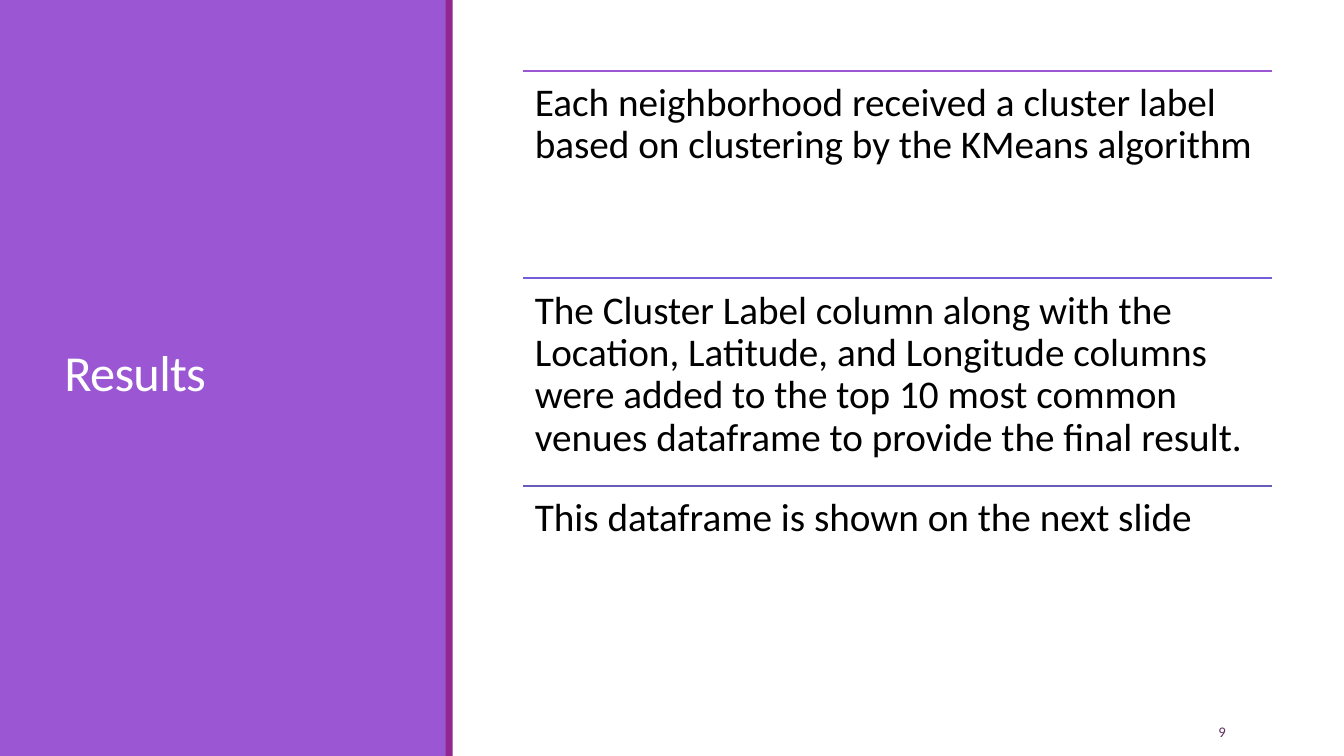
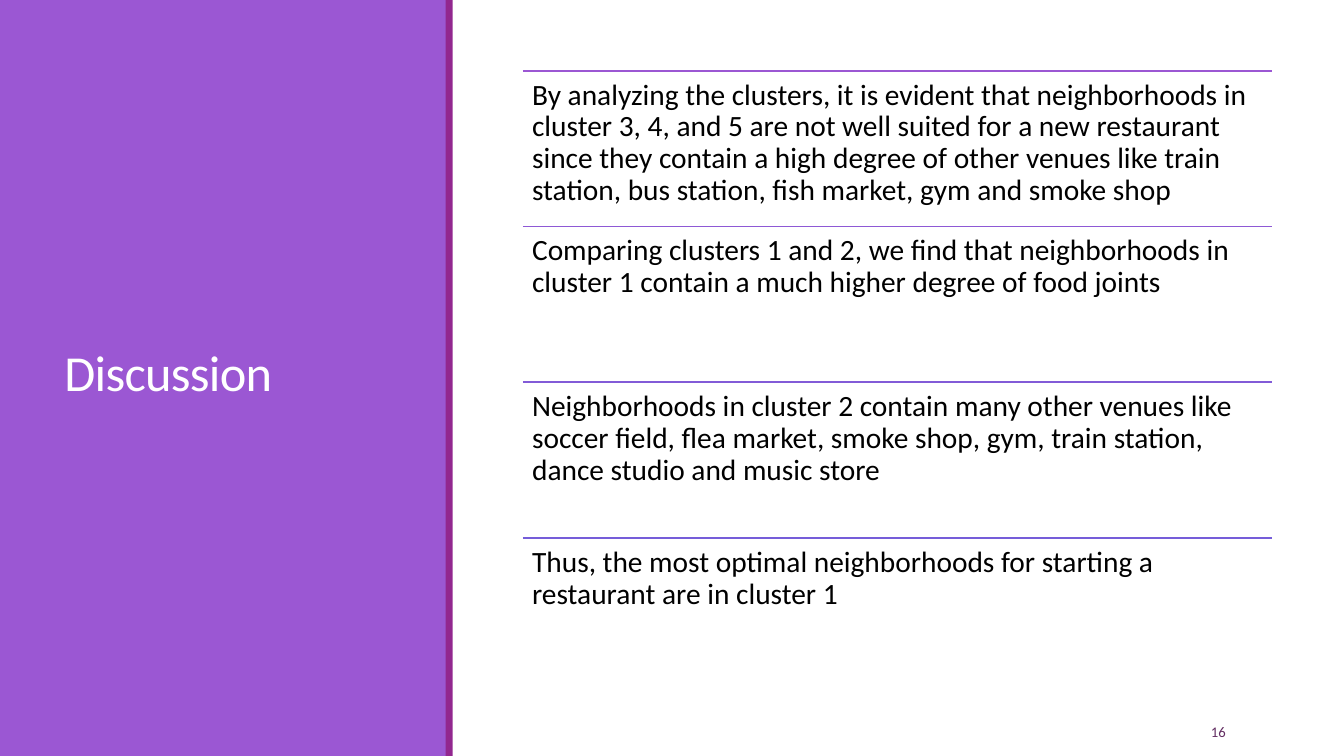
from pptx import Presentation
from pptx.dml.color import RGBColor
from pptx.enum import shapes, text
from pptx.oxml.ns import qn
from pptx.util import Cm, Pt
from lxml import etree

FONT = "Calibri"
WHITE = RGBColor(0xFF, 0xFF, 0xFF)
BLACK = RGBColor(0, 0, 0)
PURPLE = RGBColor(0x9B, 0x57, 0xD3)
PLUM = RGBColor(0x92, 0x27, 0x8F)
DARK = RGBColor(0x63, 0x2E, 0x62)
ORCHID = RGBColor(0x8E, 0x59, 0xD5)
VIOLET = RGBColor(0x82, 0x5B, 0xD7)
INDIGO = RGBColor(0x75, 0x5D, 0xD9)
SLATE = RGBColor(0x66, 0x5E, 0xB8)

# Content: each row is a rule colour and its text
SLIDES = [
    dict(title="Results", number="9", size=28, inset=0.3, rows=[
        (PURPLE, "Each neighborhood received a cluster label based on "
                 "clustering by the KMeans algorithm"),
        (INDIGO, "The Cluster Label column along with the Location, Latitude, "
                 "and Longitude columns were added to the top 10 most common "
                 "venues dataframe to provide the final result."),
        (SLATE, "This dataframe is shown on the next slide"),
    ]),
    dict(title="Discussion", number="16", size=21, inset=0.23, rows=[
        (PURPLE, "By analyzing the clusters, it is evident that neighborhoods "
                 "in cluster 3, 4, and 5 are not well suited for a new "
                 "restaurant since they contain a high degree of other venues "
                 "like train station, bus station, fish market, gym and smoke "
                 "shop"),
        (ORCHID, "Comparing clusters 1 and 2, we find that neighborhoods in "
                 "cluster 1 contain a much higher degree of food joints"),
        (VIOLET, "Neighborhoods in cluster 2 contain many other venues like "
                 "soccer field, flea market, smoke shop, gym, train station, "
                 "dance studio and music store"),
        (INDIGO, "Thus, the most optimal neighborhoods for starting a "
                 "restaurant are in cluster 1"),
    ]),
]

# Row area
LEFT, TOP, WIDTH, HEIGHT = 13.18, 1.78, 18.87, 15.7


def write(shape, words, size, color, anchor, align=text.PP_ALIGN.LEFT, lead=1.0):
    frame = shape.text_frame
    frame.text = words
    frame.word_wrap = True
    frame.auto_size = text.MSO_AUTO_SIZE.NONE
    frame.vertical_anchor = anchor
    para = frame.paragraphs[0]
    para.alignment = align
    para.line_spacing = lead
    font = para.runs[0].font
    font.name, font.size, font.color.rgb = FONT, Pt(size), color
    return frame


def add_bar(slide, left, width, color):
    bar = slide.shapes.add_shape(shapes.MSO_SHAPE.RECTANGLE,
                                 Cm(left), 0, Cm(width), Cm(19.05))
    bar.shadow.inherit = False
    bar.fill.solid()
    bar.fill.fore_color.rgb = color
    bar.line.fill.background()
    slide.shapes.title.element.addprevious(bar.element)


def add_frame(slide, title, number):
    # Side panel with its edge, behind the title
    add_bar(slide, 0, 11.25, PURPLE)
    add_bar(slide, 11.23, 0.18, PLUM)

    # Title
    head = slide.shapes.title
    head.left, head.top, head.width, head.height = map(Cm, (1.37, 1.45, 8.56, 16.03))
    frame = write(head, title, 36, WHITE, text.MSO_ANCHOR.MIDDLE, lead=0.85)
    frame.paragraphs[0].runs[0]._r.get_or_add_rPr().set("spc", "-50")

    # Slide number
    box = slide.shapes.add_textbox(*map(Cm, (28.12, 17.93, 3.02, 1.02)))
    write(box, number, 10.5, DARK, text.MSO_ANCHOR.MIDDLE, text.PP_ALIGN.RIGHT)


def add_rows(slide, rows, size, inset):
    step = HEIGHT / len(rows)
    for i, (color, words) in enumerate(rows):
        y = Cm(TOP + i * step)
        rule = slide.shapes.add_connector(shapes.MSO_CONNECTOR.STRAIGHT,
                                          Cm(LEFT), y, Cm(LEFT + WIDTH), y)
        rule.line.color.rgb = color
        rule.line.width = Pt(1.25)
        etree.SubElement(rule.element.spPr, qn("a:effectLst"))

        box = slide.shapes.add_textbox(Cm(LEFT), y, Cm(WIDTH), Cm(step))
        frame = write(box, words, size, BLACK, text.MSO_ANCHOR.TOP, lead=0.9)
        frame.margin_left = frame.margin_right = Cm(inset)
        frame.margin_top = frame.margin_bottom = Cm(inset)


def main():
    deck = Presentation()
    deck.slide_width, deck.slide_height = Cm(33.87), Cm(19.05)
    for page in SLIDES:
        slide = deck.slides.add_slide(deck.slide_layouts[5])
        add_frame(slide, page["title"], page["number"])
        add_rows(slide, page["rows"], page["size"], page["inset"])
    deck.save("out.pptx")


if __name__ == "__main__":
    main()
